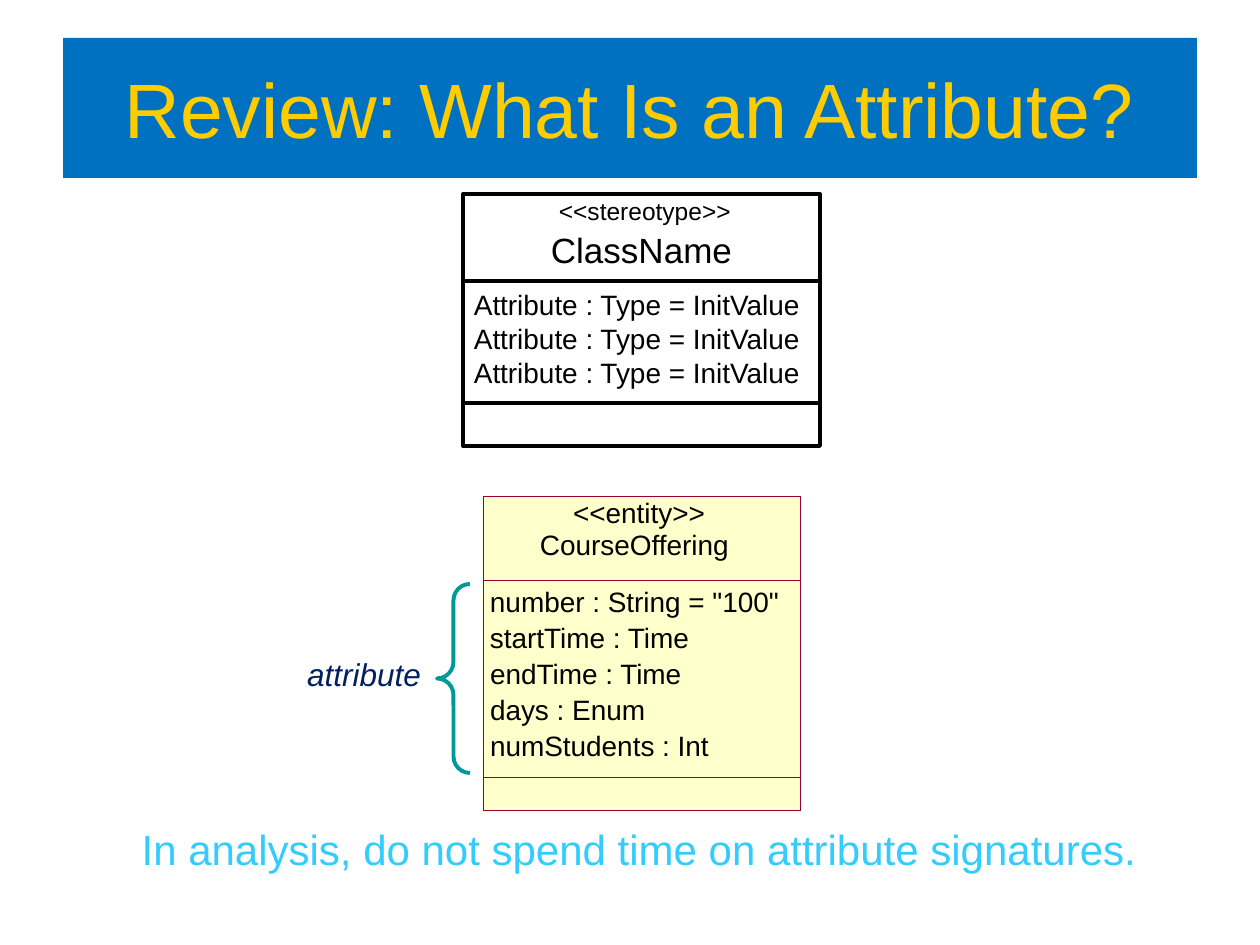
"""Builds a slide that reviews what a class attribute is."""
import pptx
import pptx.util
from lxml import etree
from pptx.dml.color import RGBColor
from pptx.enum.shapes import MSO_CONNECTOR, MSO_SHAPE
from pptx.enum.text import MSO_ANCHOR, MSO_AUTO_SIZE, PP_ALIGN
from pptx.oxml.ns import qn

COLORS = {
    "title_fill": "0070C0", "title": "FFCC00", "black": "000000",
    "note": "33CCFF", "label": "002060", "class_fill": "FFFFCC",
    "class_line": "990033", "brace": "009999",
}


class SlideBuilder:
    """Holds the style and the current slide."""
    FONT = "Arial"
    PX = 914400 / 126

    def __init__(self, prs):
        self.s = prs.slides.add_slide(prs.slide_layouts[5])

    def emu(self, *lengths):
        return [round(n * self.PX) for n in lengths]

    def color(self, name):
        return RGBColor.from_string(COLORS[name])

    def style(self, p, size, color, align, italic=False):
        p.alignment = align
        p.font.name = self.FONT
        p.font.size = pptx.util.Pt(size)
        p.font.italic = italic
        p.font.color.rgb = self.color(color)

    def title(self, text, *box):
        sp = self.s.shapes.title
        sp.left, sp.top, sp.width, sp.height = self.emu(*box)
        sp.fill.solid()
        sp.fill.fore_color.rgb = self.color("title_fill")
        tf = sp.text_frame
        tf.text = text
        tf.auto_size = MSO_AUTO_SIZE.NONE
        tf.vertical_anchor = MSO_ANCHOR.MIDDLE
        self.style(tf.paragraphs[0], 44, "title", PP_ALIGN.CENTER)

    def text(self, text, *box, size=16, color="black", align=PP_ALIGN.LEFT,
             italic=False, inset=(0, 0), wrap=False):
        tf = self.s.shapes.add_textbox(*self.emu(*box)).text_frame
        tf.word_wrap = wrap
        tf.auto_size = MSO_AUTO_SIZE.SHAPE_TO_FIT_TEXT
        tf.margin_left, tf.margin_top = self.emu(*inset)
        tf.margin_right, tf.margin_bottom = self.emu(*inset)
        tf.text = text
        for p in tf.paragraphs:
            self.style(p, size, color, align, italic)

    def shape(self, kind, *box, line, width, fill=None):
        sp = self.s.shapes.add_shape(kind, *self.emu(*box))
        sp.shadow.inherit = False
        if fill:
            sp.fill.solid()
            sp.fill.fore_color.rgb = self.color(fill)
        else:
            sp.fill.background()
        sp.line.color.rgb = self.color(line)
        sp.line.width = pptx.util.Pt(width)
        return sp

    def line(self, x1, y1, x2, y2):
        cxn = self.s.shapes.add_connector(
            MSO_CONNECTOR.STRAIGHT, *self.emu(x1, y1, x2, y2))
        cxn.line.color.rgb = self.color("black")
        cxn.line.width = pptx.util.Pt(2.25)
        etree.SubElement(cxn._element.spPr, qn("a:effectLst"))


def main():
    prs = pptx.Presentation()
    prs.slide_width = pptx.util.Inches(10)
    prs.slide_height = pptx.util.Inches(7.5)
    b = SlideBuilder(prs)
    center = PP_ALIGN.CENTER

    b.title("Review: What Is an Attribute?", 63, 38, 1134, 140)
    b.text("In analysis, do not spend time on attribute signatures.",
           97, 816, 1084, 66, size=24, color="note", align=center,
           inset=(15, 8), wrap=True)

    b.shape(MSO_SHAPE.RECTANGLE, 463, 194, 357, 252, line="black", width=2.25)
    for y in (281, 403):
        b.line(463, y, 820, y)
    b.text("<<stereotype>>", 557, 196, 176, 29, size=14, align=center)
    b.text("ClassName", 549, 228, 185, 42, size=20, align=center)
    b.text("\n".join(["Attribute : Type = InitValue"] * 3),
           474, 288, 330, 102)

    for top, fill in ((496, "class_fill"), (580, None), (777, None)):
        b.shape(MSO_SHAPE.RECTANGLE, 483, top, 317, 810 - top,
                line="class_line", width=0.1, fill=fill)
    b.text("<<entity>>", 573, 496, 134, 34)
    b.text("CourseOffering", 540, 528, 192, 34)
    attributes = (('number : String = "100"', 292), ("startTime : Time", 204),
                  ("endTime : Time", 196), ("days : Enum", 160),
                  ("numStudents : Int", 222))
    for i, (attribute, width) in enumerate(attributes):
        b.text(attribute, 490, 585 + 36 * i, width, 34)

    b.text("attribute", 279, 649, 170, 50, size=18, color="label",
           align=center, italic=True, inset=(13, 6), wrap=True)
    brace = b.shape(MSO_SHAPE.LEFT_BRACE, 437, 584, 33, 189,
                    line="brace", width=2.25)
    brace.adjustments[0] = 0.5
    prs.save("out.pptx")


if __name__ == "__main__":
    main()
